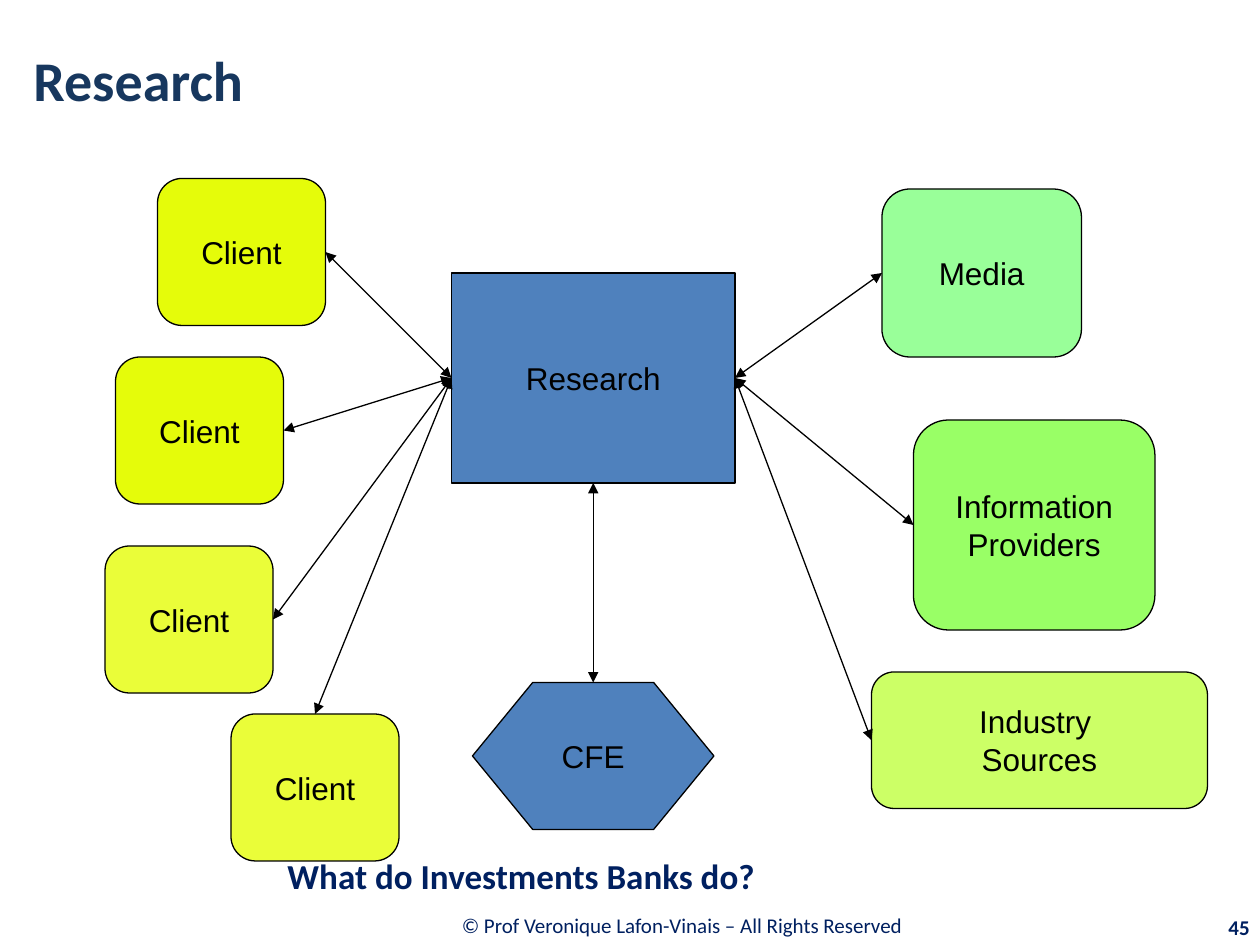
import pptx
import pptx.dml.color
import pptx.enum.shapes
import pptx.enum.text
import pptx.oxml
import pptx.oxml.ns
import pptx.util

COLORS = {
    "ink": "000000", "title": "17375E", "navy": "002060", "bank": "4F81BD",
    "client": "E5FC0A", "client_light": "EAFD39",
    "media": "99FF99", "providers": "99FF66", "industry": "CCFF66",
}
KINDS = pptx.enum.shapes.MSO_SHAPE
ALIGN = pptx.enum.text.PP_ALIGN
TOP, LEFT, BOTTOM, RIGHT = range(4)  # connection sites of a rectangle


def rgb(name):
    return pptx.dml.color.RGBColor.from_string(COLORS[name])


class Diagram:
    """Draws on one page; lengths are columns and rows of a 1/12 inch grid."""

    line_width = pptx.util.Pt(0.75)

    def __init__(self, page):
        self.page = page

    def grid(self, *cells):
        return [pptx.util.Inches(cell / 12) for cell in cells]

    def fill_text(self, box, lines, size, font, color, align, bold=False, wrap=True):
        frame = box.text_frame
        frame.word_wrap = wrap
        frame.vertical_anchor = pptx.enum.text.MSO_ANCHOR.MIDDLE
        for number, line in enumerate(lines):
            para = frame.add_paragraph() if number else frame.paragraphs[0]
            para.alignment = align
            span = para.add_run()
            span.text = line
            span.font.size = pptx.util.Pt(size)
            span.font.name = font
            span.font.bold = bold
            span.font.color.rgb = rgb(color)

    def text(self, words, place, size, color="navy", align=ALIGN.LEFT, bold=True):
        box = self.page.shapes.add_textbox(*self.grid(*place))
        self.fill_text(box, [words], size, "Calibri", color, align, bold)

    def node(self, lines, place, fill, kind=KINDS.ROUNDED_RECTANGLE, adjust=None):
        shape = self.page.shapes.add_shape(kind, *self.grid(*place))
        shape.shadow.inherit = False
        shape.fill.solid()
        shape.fill.fore_color.rgb = rgb(fill)
        shape.line.color.rgb = rgb("ink")
        shape.line.width = self.line_width
        if adjust is not None:
            shape.adjustments[0] = adjust
        self.fill_text(shape, lines, 18, "Arial", "ink", ALIGN.CENTER, wrap=False)
        return shape

    def side(self, shape, site):
        """Return the middle of one side of a shape."""
        across = {LEFT: 0, RIGHT: shape.width}.get(site, shape.width // 2)
        down = {TOP: 0, BOTTOM: shape.height}.get(site, shape.height // 2)
        return shape.left + across, shape.top + down

    def arrow(self, start, start_site, end, end_site):
        """Draw a two-headed arrow, glued where the shape has a site there."""
        line = self.page.shapes.add_connector(
            pptx.enum.shapes.MSO_CONNECTOR.STRAIGHT,
            *self.side(start, start_site), *self.side(end, end_site))
        line.begin_connect(start, start_site)
        if end.auto_shape_type != KINDS.HEXAGON:  # no site at its top middle
            line.end_connect(end, end_site)
        line.line.color.rgb = rgb("ink")
        line.line.width = self.line_width
        properties = line._element.spPr
        outline = properties.find(pptx.oxml.ns.qn("a:ln"))
        for tag in ("a:headEnd", "a:tailEnd"):
            mark = pptx.oxml.ns.qn(tag)
            outline.append(outline.makeelement(mark, {"type": "triangle"}))
        properties.append(properties.makeelement(pptx.oxml.ns.qn("a:effectLst"), {}))


def main():
    deck = pptx.Presentation()
    deck.slide_width = pptx.util.Inches(10)
    deck.slide_height = pptx.util.Inches(7.5)
    diagram = Diagram(deck.slides.add_slide(deck.slide_layouts[6]))

    diagram.text("Research", (2, 0, 116, 15), 32, "title")
    research = diagram.node(["Research"], (43, 26, 27, 20), "bank", KINDS.RECTANGLE)
    cfe = diagram.node(["CFE"], (45, 65, 23, 14), "bank", KINDS.HEXAGON, 0.41)
    diagram.arrow(research, BOTTOM, cfe, TOP)

    clients = [
        (15, 17, "client", RIGHT),
        (11, 34, "client", RIGHT),
        (10, 52, "client_light", RIGHT),
        (22, 68, "client_light", TOP),
    ]
    for column, row, fill, site in clients:
        client = diagram.node(["Client"], (column, row, 16, 14), fill)
        diagram.arrow(research, LEFT, client, site)

    sources = [
        (["Media"], (84, 18, 19, 16), "media"),
        (["Information", "Providers"], (87, 40, 23, 20), "providers"),
        (["Industry ", "Sources"], (83, 64, 32, 13), "industry"),
    ]
    for lines, place, fill in sources:
        source = diagram.node(lines, place, fill)
        diagram.arrow(research, RIGHT, source, LEFT)

    diagram.text("What do Investments Banks do?", (26.2, 80.6, 93.8, 5.6), 20)
    diagram.text("© Prof Veronique Lafon-Vinais – All Rights Reserved ",
                 (26.3, 85.8, 77.8, 4.7), 12, align=ALIGN.CENTER, bold=False)
    diagram.text("45", (108.1, 86.4, 12.1, 3.8), 12, align=ALIGN.RIGHT)

    deck.save("out.pptx")


if __name__ == "__main__":
    main()
